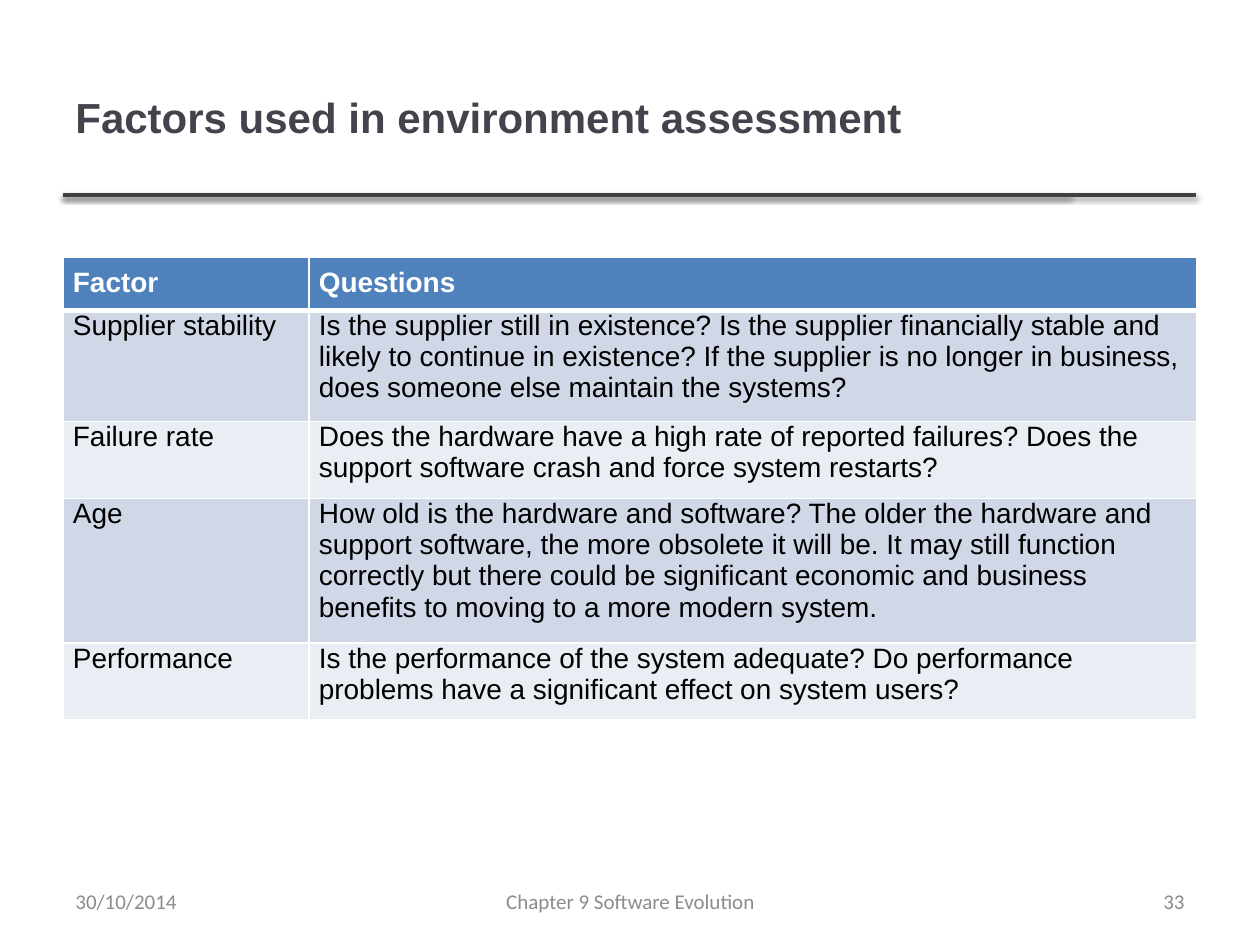
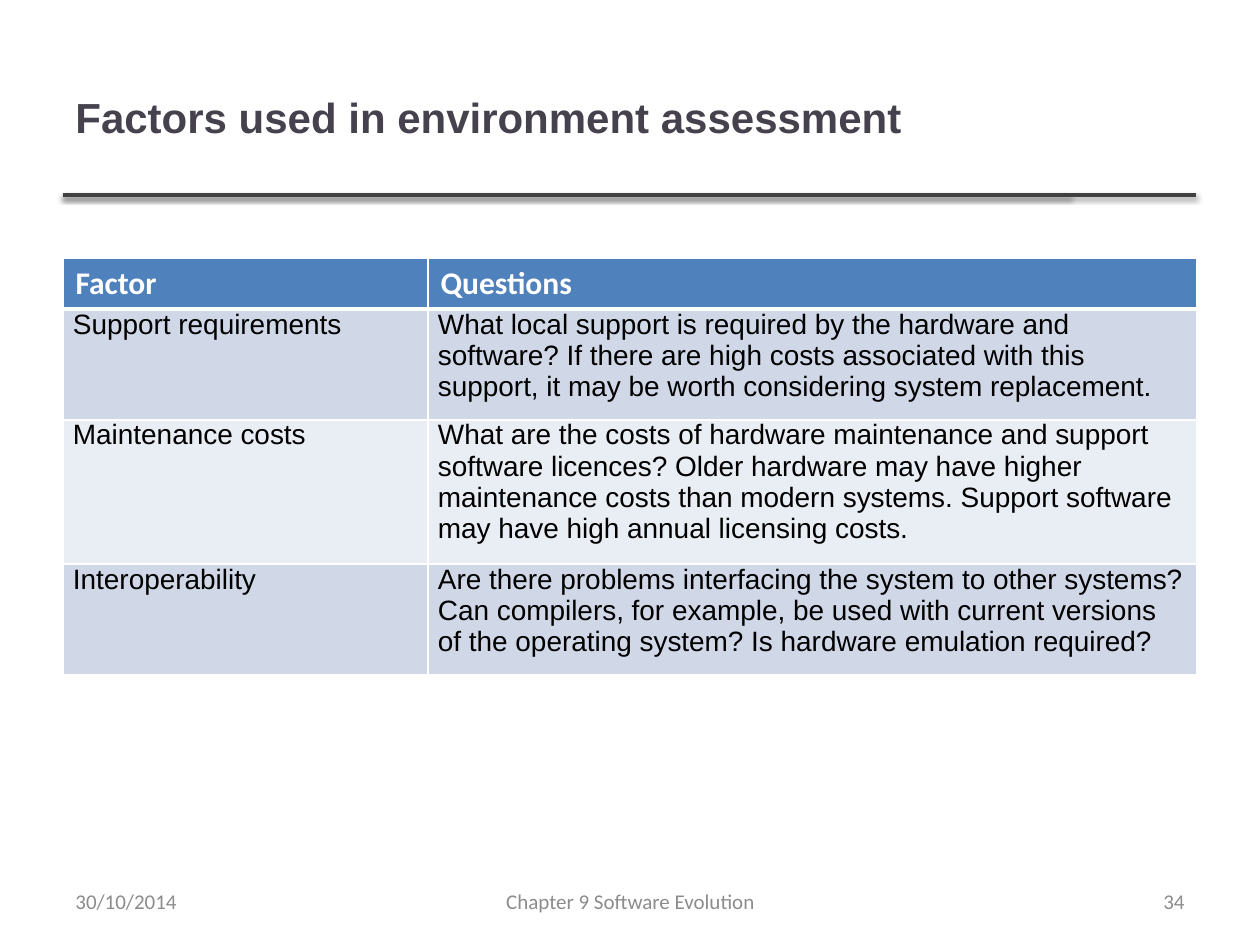
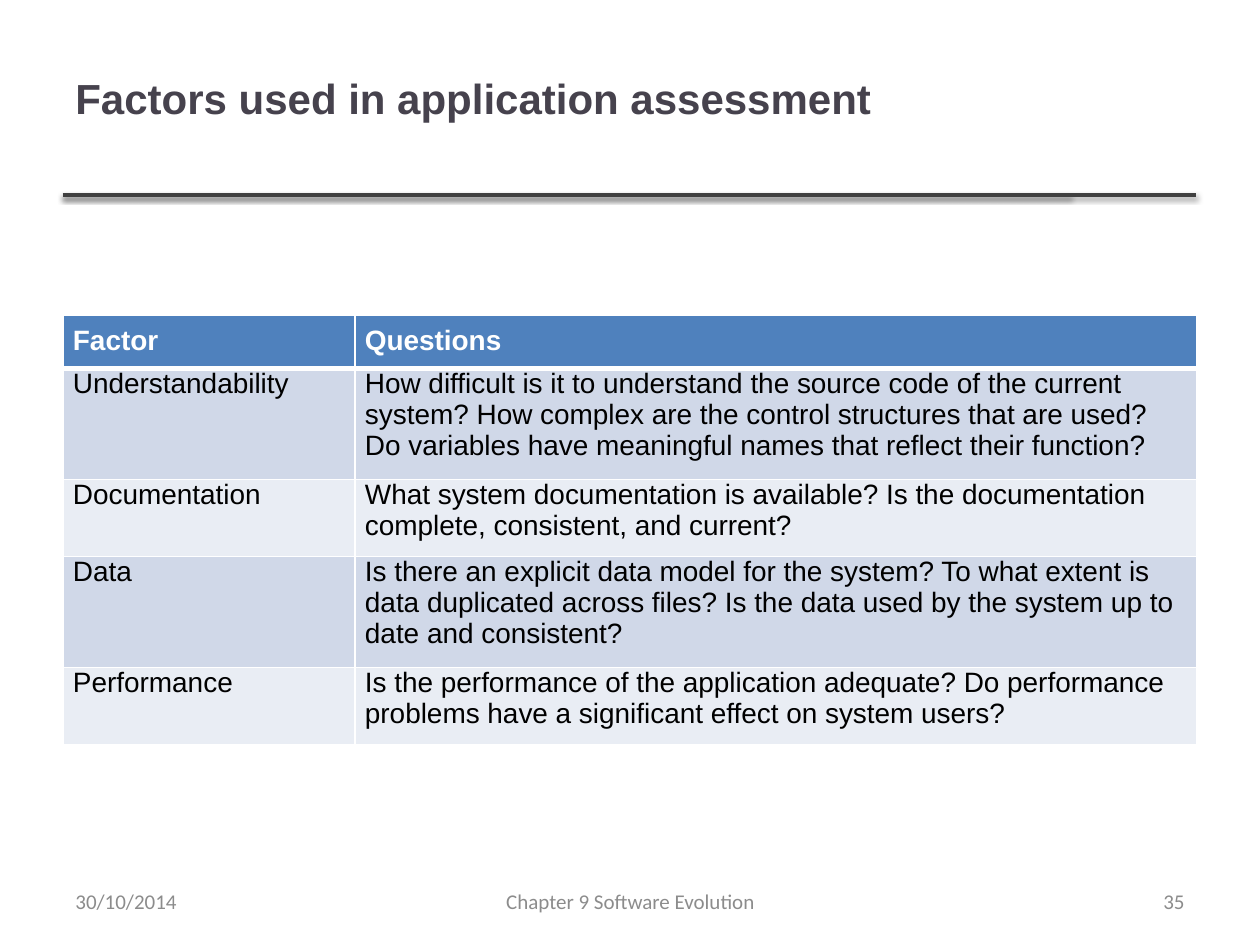
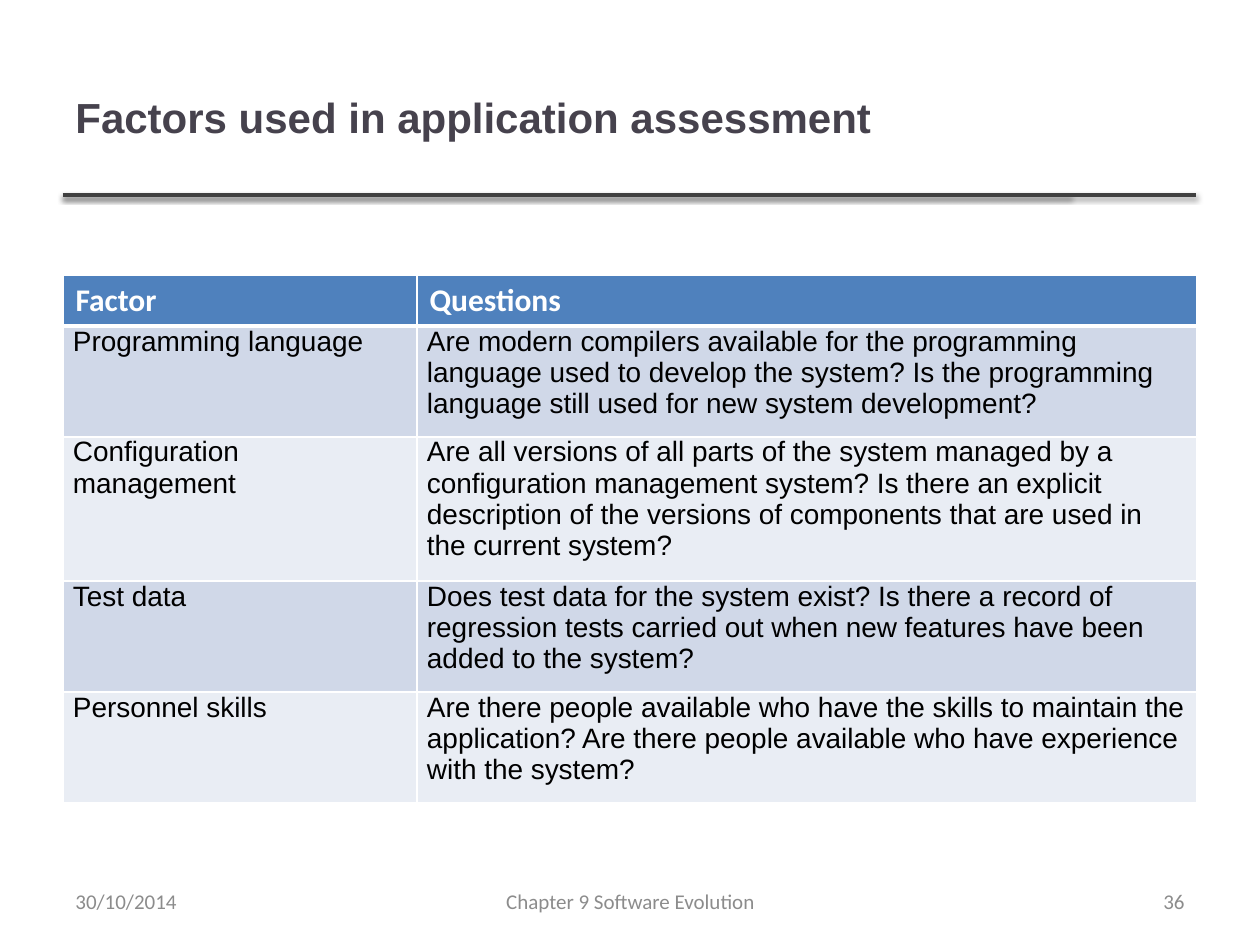
from dataclasses import dataclass

from lxml import etree
from pptx import Presentation
from pptx.dml.color import RGBColor
from pptx.enum.shapes import MSO_CONNECTOR
from pptx.enum.text import MSO_ANCHOR, PP_ALIGN
from pptx.oxml.ns import qn
from pptx.util import Emu, Pt

PIXEL = 914400 // 126
STRAIGHT = MSO_CONNECTOR.STRAIGHT
MIDDLE = MSO_ANCHOR.MIDDLE
LEFT, CENTER, RIGHT = PP_ALIGN.LEFT, PP_ALIGN.CENTER, PP_ALIGN.RIGHT

FIRST_NUMBER = 33
DATE = "30/10/2014"
CHAPTER = "Chapter 9 Software Evolution"
HEADINGS = ("Factor", "Questions")
MARGIN = 63
TABLE_WIDTH = 1134
ROW_HEIGHT = 51
FOOTER_TOP, FOOTER_HEIGHT = 876, 50


@dataclass(frozen=True)
class TextStyle:
    """Font, size in points, colour and weight of a text."""

    font: str
    size: int
    color: str
    bold: bool = False


@dataclass(frozen=True)
class Theme:
    """Colours, type styles and line widths of the deck."""

    title: TextStyle = TextStyle("Arial", 24, "46424D", True)
    footer: TextStyle = TextStyle("Calibri", 12, "8C8C8C")
    body: TextStyle = TextStyle("Arial", 16, "000000")
    heading: TextStyle = TextStyle("Arial", 16, "FFFFFF", True)
    large_heading: TextStyle = TextStyle("Calibri", 18, "FFFFFF", True)
    header_fill: str = "4F81BD"
    bands: tuple = ("D0D8E8", "E9EDF4")
    rule: str = "404040"
    border: str = "FFFFFF"
    shadow: str = "000000"
    rule_width: int = 2
    thin_border: int = 1
    thick_border: int = 3


THEME = Theme()


@dataclass(frozen=True)
class FactorSlide:
    """Title, table geometry and table rows of one slide."""

    title: str
    table_top: int
    table_height: int
    factor_width: int
    rows: tuple
    large_headings: bool = False
    title_top: int = 38
    title_width: int = 1006


SLIDES = (
    FactorSlide(
        "Factors used in environment assessment", 257, 464, 246,
        (
            ("Supplier stability",
             "Is the supplier still in existence? Is the supplier financially stable and "
             "likely to continue in existence? If the supplier is no longer in business, "
             "does someone else maintain the systems?"),
            ("Failure rate",
             "Does the hardware have a high rate of reported failures? Does the support "
             "software crash and force system restarts?"),
            ("Age",
             "How old is the hardware and software? The older the hardware and support "
             "software, the more obsolete it will be. It may still function correctly but "
             "there could be significant economic and business benefits to moving to a "
             "more modern system."),
            ("Performance",
             "Is the performance of the system adequate? Do performance problems have a "
             "significant effect on system users?"),
        ),
    ),
    FactorSlide(
        "Factors used in environment assessment", 258, 417, 365,
        (
            ("Support requirements",
             "What local support is required by the hardware and software? If there are "
             "high costs associated with this support, it may be worth considering system "
             "replacement."),
            ("Maintenance costs",
             "What are the costs of hardware maintenance and support software licences? "
             "Older hardware may have higher maintenance costs than modern systems. "
             "Support software may have high annual licensing costs."),
            ("Interoperability",
             "Are there problems interfacing the system to other systems? Can compilers, "
             "for example, be used with current versions of the operating system? Is "
             "hardware emulation required?"),
        ),
        large_headings=True,
    ),
    FactorSlide(
        "Factors used in application assessment", 315, 430, 292,
        (
            ("Understandability",
             "How difficult is it to understand the source code of the current system? "
             "How complex are the control structures that are used? Do variables have "
             "meaningful names that reflect their function?"),
            ("Documentation",
             "What system documentation is available? Is the documentation complete, "
             "consistent, and current?"),
            ("Data",
             "Is there an explicit data model for the system? To what extent is data "
             "duplicated across files? Is the data used by the system up to date and "
             "consistent?"),
            ("Performance",
             "Is the performance of the application adequate? Do performance problems "
             "have a significant effect on system users?"),
        ),
        title_top=19,
        title_width=1134,
    ),
    FactorSlide(
        "Factors used in application assessment", 275, 528, 354,
        (
            ("Programming language",
             "Are modern compilers available for the programming language used to develop "
             "the system? Is the programming language still used for new system "
             "development?"),
            ("Configuration management",
             "Are all versions of all parts of the system managed by a configuration "
             "management system? Is there an explicit description of the versions of "
             "components that are used in the current system?"),
            ("Test data",
             "Does test data for the system exist? Is there a record of regression tests "
             "carried out when new features have been added to the system?"),
            ("Personnel skills",
             "Are there people available who have the skills to maintain the application? "
             "Are there people available who have experience with the system?"),
        ),
        large_headings=True,
    ),
)


def px(pixels):
    """Turn pixels into EMU."""
    return Emu(pixels * PIXEL)


def write(text_frame, text, style, alignment=LEFT):
    """Fill a text frame with one styled paragraph and return it."""
    paragraph = text_frame.paragraphs[0]
    paragraph.text = text
    paragraph.alignment = alignment
    font = paragraph.font
    font.name, font.size, font.bold = style.font, Pt(style.size), style.bold
    font.color.rgb = RGBColor.from_string(style.color)
    return paragraph


def add_text(slide, box, text, style, alignment=LEFT):
    """Add a vertically centred text box."""
    text_frame = slide.shapes.add_textbox(*map(px, box)).text_frame
    text_frame.word_wrap = True
    text_frame.vertical_anchor = MIDDLE
    write(text_frame, text, style, alignment)


def add_color(parent, color):
    """Append an RGB colour element and return it."""
    return etree.SubElement(parent, qn("a:srgbClr"), val=color)


def add_rule(slide, right):
    """Add a horizontal title rule with a soft shadow below it."""
    rule = slide.shapes.add_connector(STRAIGHT, px(MARGIN), px(195), px(right), px(195))
    rule.line.color.rgb = RGBColor.from_string(THEME.rule)
    rule.line.width = Pt(THEME.rule_width)
    effects = etree.SubElement(rule._element.spPr, qn("a:effectLst"))
    shadow = etree.SubElement(effects, qn("a:outerShdw"), blurRad="40000",
                              dist="20000", dir="5400000", rotWithShape="0")
    etree.SubElement(add_color(shadow, THEME.shadow), qn("a:alpha"), val="38000")


def set_borders(cell, top, bottom):
    """Draw the four cell borders, with the given top and bottom widths."""
    properties = cell._tc.get_or_add_tcPr()
    thin = THEME.thin_border
    for side, width in (("L", thin), ("R", thin), ("T", top), ("B", bottom)):
        line = etree.SubElement(properties, qn(f"a:ln{side}"), w=str(Pt(width)))
        add_color(etree.SubElement(line, qn("a:solidFill")), THEME.border)


def format_cell(cell, row, text, large_headings):
    """Write one table cell in the style of its row."""
    is_header = row == 0
    thin, thick = THEME.thin_border, THEME.thick_border
    set_borders(cell, thick if row == 1 else thin, thick if is_header else thin)
    cell.fill.solid()
    fill = THEME.header_fill if is_header else THEME.bands[(row - 1) % 2]
    cell.fill.fore_color.rgb = RGBColor.from_string(fill)
    if is_header and large_headings:
        write(cell.text_frame, text, THEME.large_heading)
        return
    cell.margin_left = cell.margin_right = cell.margin_bottom = px(10)
    cell.margin_top = px(10 if is_header else 0)
    style = THEME.heading if is_header else THEME.body
    write(cell.text_frame, text, style).space_after = Pt(6)


def add_factor_table(slide, content):
    """Add the table of factors and questions."""
    rows = (HEADINGS, *content.rows)
    frame = slide.shapes.add_table(len(rows), len(HEADINGS), px(MARGIN),
                                   px(content.table_top), px(TABLE_WIDTH),
                                   px(content.table_height))
    table = frame.table
    table.columns[0].width = px(content.factor_width)
    table.columns[1].width = px(TABLE_WIDTH - content.factor_width)
    for row, texts in enumerate(rows):
        table.rows[row].height = px(ROW_HEIGHT)
        for column, text in enumerate(texts):
            format_cell(table.cell(row, column), row, text, content.large_headings)
    frame.height = px(content.table_height)


def add_footer(slide, number):
    """Add the chapter, slide number and date."""
    for left, width, text, alignment in (
        (431, 399, CHAPTER, CENTER),
        (903, 294, str(number), RIGHT),
        (MARGIN, 294, DATE, LEFT),
    ):
        box = (left, FOOTER_TOP, width, FOOTER_HEIGHT)
        add_text(slide, box, text, THEME.footer, alignment)


def add_factor_slide(presentation, content, number):
    """Add one complete slide."""
    slide = presentation.slides.add_slide(presentation.slide_layouts[6])
    for right in (1070, 1196):
        add_rule(slide, right)
    title_box = (MARGIN, content.title_top, content.title_width, 157)
    add_text(slide, title_box, content.title, THEME.title)
    add_factor_table(slide, content)
    add_footer(slide, number)


def main():
    """Build and save the deck."""
    presentation = Presentation()
    presentation.slide_width, presentation.slide_height = px(1260), px(945)
    for number, content in enumerate(SLIDES, FIRST_NUMBER):
        add_factor_slide(presentation, content, number)
    presentation.save("out.pptx")


main()
